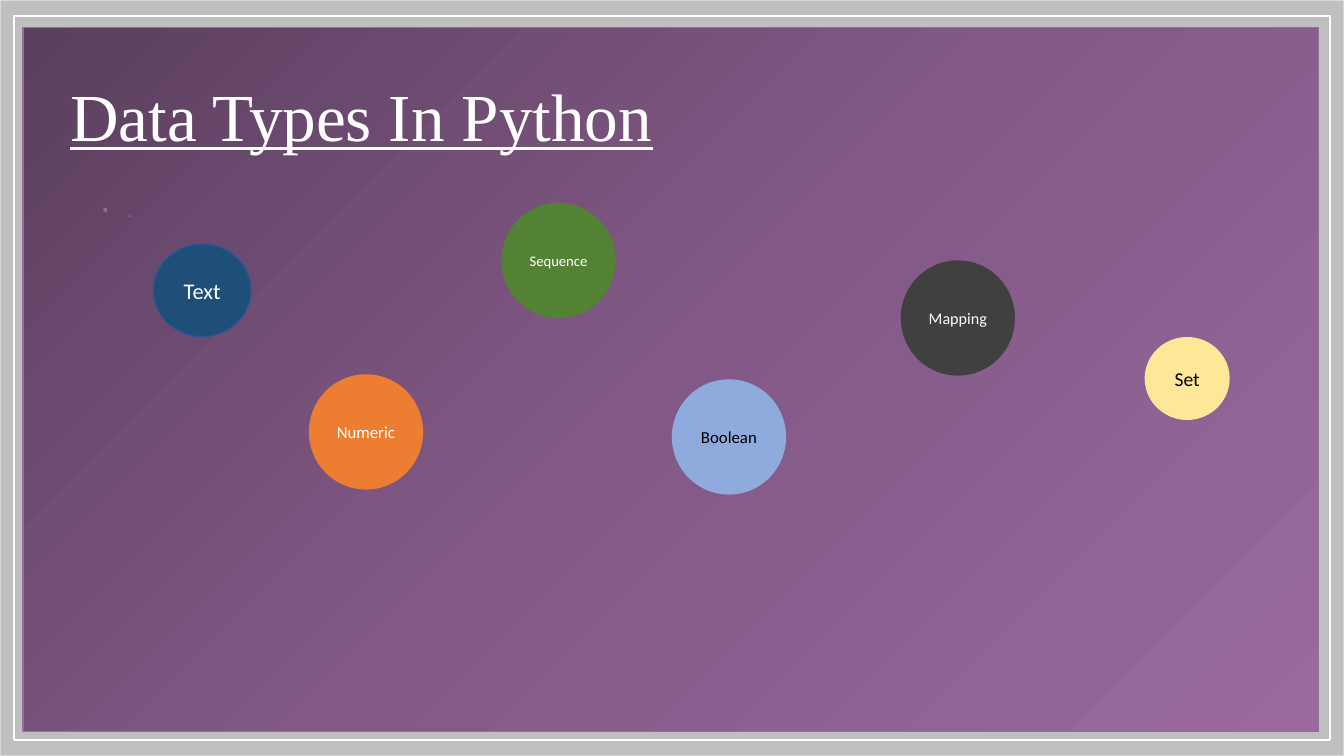
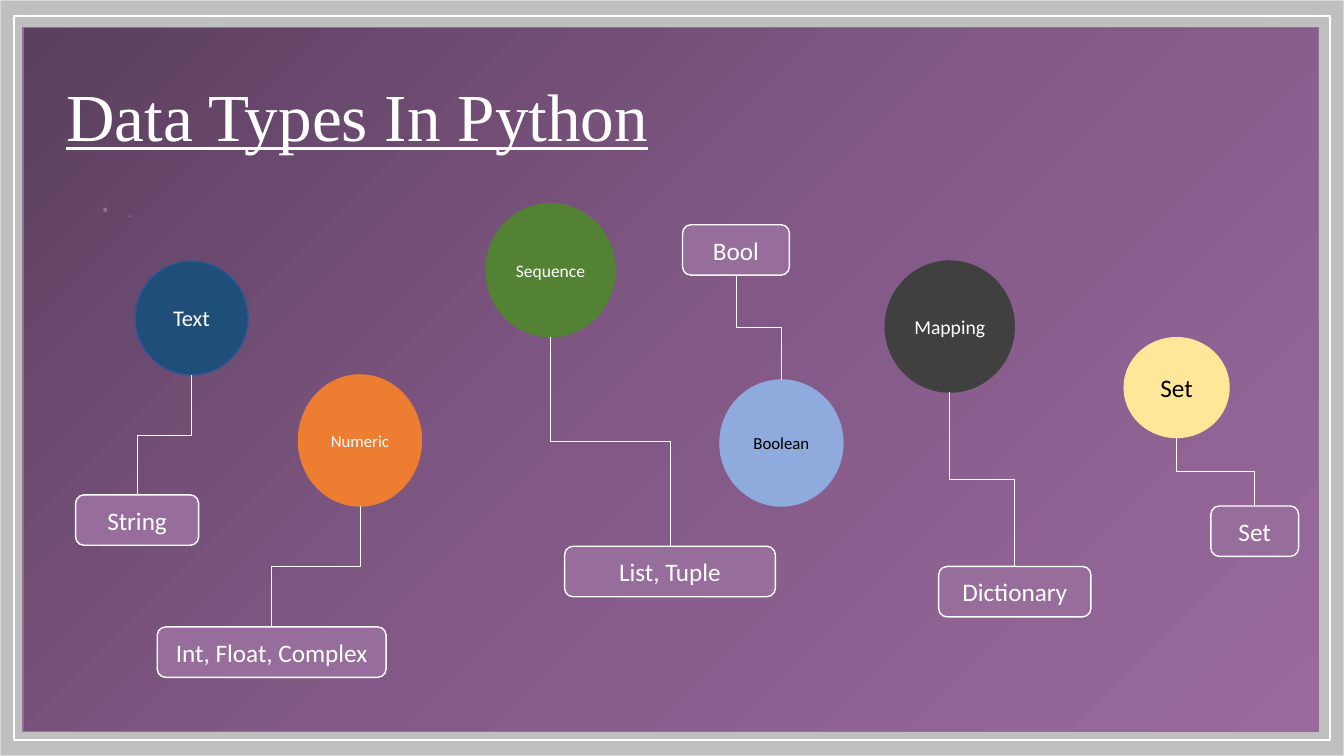
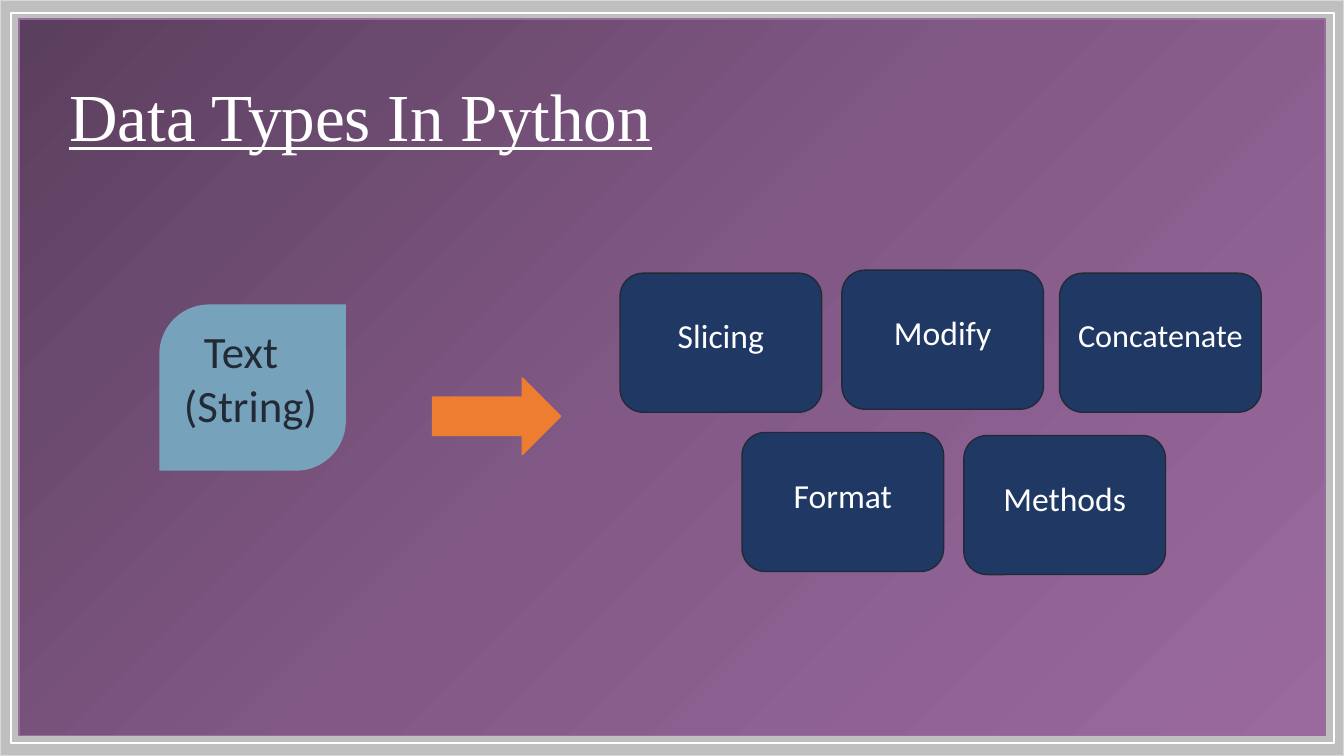
"""Builds three slides about the data types in Python."""
from dataclasses import dataclass

from lxml import etree
from pptx import Presentation
from pptx.dml.color import RGBColor
from pptx.enum import shapes, text
from pptx.oxml.ns import qn
from pptx.util import Inches, Pt

MSO = shapes.MSO_SHAPE
ALIGN = text.PP_ALIGN
ANCHOR = text.MSO_ANCHOR


@dataclass(frozen=True)
class Theme:
    """Colours, fonts and type sizes shared by the slides."""
    border: str = "BFBFBF"
    border_line: str = "D9D9D9"
    gradient: tuple = ((0, "5B3F5E"), (50, "825986"), (100, "9A6A9E"))
    mauve: str = "976D9B"
    white: str = "FFFFFF"
    black: str = "000000"
    orange: str = "ED7D31"
    navy: str = "203864"
    ink: str = "222A35"
    leaf: str = "77A2BB"
    title_font: str = "Times New Roman"
    font: str = "Calibri"
    title_size: float = 48
    leaf_size: float = 32
    card_size: float = 24
    label_size: float = 18
    dot_size: float = 11.2


T = Theme()

CIRCLE_COLORS = {
    "Text": ("1F4E79", "2F5597", T.white),
    "Set": ("FFE699", "FFE699", T.black),
    "Mapping": ("404040", "404040", T.white),
    "Numeric": (T.orange, T.orange, T.white),
    "Sequence": ("548235", "548235", T.white),
    "Boolean": ("8FAADC", "8FAADC", T.black),
}


def rgb(color):
    """Return a colour object for a hex string."""
    return RGBColor.from_string(color)


def write(tf, content, size, color=T.white, font=T.font, align=ALIGN.LEFT,
          underline=None, spacing=None, indent=0, bullet=None):
    """Write one paragraph into a text frame and return it."""
    p = tf.paragraphs[-1]
    if p.runs:
        p = tf.add_paragraph()
    p.alignment = align
    if spacing:
        p.line_spacing = spacing
    pPr = p._p.get_or_add_pPr()
    if indent:
        pPr.set("marL", str(Inches(indent)))
    if bullet:
        pPr.set("indent", str(-Inches(indent)))
        etree.SubElement(pPr, qn("a:buFont")).set("typeface", "Arial")
        etree.SubElement(pPr, qn("a:buChar")).set("char", bullet)
    r = p.add_run()
    r.text = content
    r.font.size = Pt(size)
    r.font.name = font
    r.font.color.rgb = rgb(color)
    r.font.underline = underline
    return p


def add_shape(s, kind, box, fill=None, line=None):
    """Add a preset shape with a plain fill and a one-point line."""
    sp = s.shapes.add_shape(kind, *map(Inches, box))
    sp.shadow.inherit = False
    if fill:
        sp.fill.solid()
        sp.fill.fore_color.rgb = rgb(fill)
    else:
        sp.fill.background()
    if line:
        sp.line.color.rgb = rgb(line)
        sp.line.width = Pt(1)
    else:
        sp.line.fill.background()
    return sp


def add_textbox(s, box, anchor=ANCHOR.TOP):
    """Add a wrapping text box and return its text frame."""
    tf = s.shapes.add_textbox(*map(Inches, box)).text_frame
    tf.word_wrap = True
    tf.vertical_anchor = anchor
    return tf


def add_gradient(sp):
    """Fill a shape with the diagonal purple gradient."""
    sp.fill.gradient()
    sp.fill.gradient_angle = 315
    stops = sp._element.spPr.find(qn("a:gradFill")).find(qn("a:gsLst"))
    for gs in list(stops):
        stops.remove(gs)
    for pos, color in T.gradient:
        gs = etree.SubElement(stops, qn("a:gs"), pos=str(pos * 1000))
        etree.SubElement(gs, qn("a:srgbClr"), val=color)


def add_slide(prs, panel, frame, title_x):
    """Add a slide with its border, gradient panel, thin frame and title."""
    s = prs.slides.add_slide(prs.slide_layouts[6])
    add_shape(s, MSO.RECTANGLE, (0, 0, 13.33, 7.5), T.border, T.border_line)
    add_gradient(add_shape(s, MSO.RECTANGLE, panel, line=T.mauve))
    add_shape(s, MSO.RECTANGLE, frame, line=T.white)
    tf = add_textbox(s, (title_x, 0.46, 11.5, 1.45), ANCHOR.MIDDLE)
    write(tf, "Data Types In Python", T.title_size, font=T.title_font,
          underline=True, spacing=0.9)
    return s


def add_type_slide(prs, title_x, circles):
    """Add a slide of data type circles and return it with the circles."""
    s = add_slide(prs, (0.23, 0.27, 12.85, 6.99),
                  (0.14, 0.16, 13.05, 7.18), title_x)
    write(add_textbox(s, (0.92, 2, 0.23, 0.26)), ".", T.dot_size, T.mauve,
          spacing=0.7, indent=0.25, bullet="•")
    return s, {name: add_circle(s, name, size, box)
               for name, size, box in circles}


def add_circle(s, name, size, box):
    """Add the circle of one data type."""
    fill, line, color = CIRCLE_COLORS[name]
    sp = add_shape(s, MSO.OVAL, box, fill, line)
    tf = sp.text_frame
    tf.margin_left = tf.margin_right = 0
    write(tf, name, size, color, align=ALIGN.CENTER)
    return sp


def add_label(s, content, x, y, width):
    """Add a rounded label that names Python classes."""
    sp = add_shape(s, MSO.ROUNDED_RECTANGLE, (x, y, width, 0.5),
                   T.mauve, T.white)
    write(sp.text_frame, content, T.label_size, align=ALIGN.CENTER)
    return sp


def add_link(s, upper, lower):
    """Join two shapes, bottom to top, by a vertical elbow connector."""
    x1, y1 = upper.left + upper.width // 2, upper.top + upper.height
    x2, y2 = lower.left + lower.width // 2, lower.top
    cx, cy = (x1 + x2) // 2, (y1 + y2) // 2
    dx, dy = (x2 - x1) // 2, (y2 - y1) // 2
    c = s.shapes.add_connector(shapes.MSO_CONNECTOR.ELBOW,
                               cx - dy, cy + dx, cx + dy, cy - dx)
    c.line.color.rgb = rgb(T.white)
    c.line.width = Pt(0.5)
    spPr = c._element.spPr
    spPr.find(qn("a:xfrm")).set("rot", "5400000")
    etree.SubElement(spPr, qn("a:effectLst"))


def add_card(s, content, x, y, size=T.card_size):
    """Add a navy card for one string operation."""
    sp = add_shape(s, MSO.ROUNDED_RECTANGLE, (x, y, 2, 1.38), T.navy, T.ink)
    tf = sp.text_frame
    tf.vertical_anchor = ANCHOR.TOP
    tf.margin_top = Inches(0.35)
    write(tf, content, size, align=ALIGN.CENTER)


def build_overview(prs):
    """Build the slide of the six data types."""
    add_type_slide(prs, 0.6, [
        ("Text", 16, (1.52, 2.42, 0.97, 0.92)),
        ("Set", 14, (11.36, 3.35, 0.83, 0.81)),
        ("Mapping", 11.5, (8.94, 2.59, 1.12, 1.13)),
        ("Numeric", 12, (3.07, 3.72, 1.12, 1.13)),
        ("Sequence", 10.5, (4.98, 2.02, 1.12, 1.13)),
        ("Boolean", 12, (6.67, 3.77, 1.12, 1.13)),
    ])


def build_classes(prs):
    """Build the slide that links each data type to its classes."""
    s, circles = add_type_slide(prs, 0.56, [
        ("Text", 16, (1.34, 2.59, 1.12, 1.13)),
        ("Set", 18, (11.15, 3.35, 1.04, 0.99)),
        ("Mapping", 14, (8.78, 2.59, 1.28, 1.3)),
        ("Numeric", 12, (2.96, 3.72, 1.22, 1.3)),
        ("Sequence", 12.5, (4.82, 2.02, 1.28, 1.32)),
        ("Boolean", 12, (7.14, 3.77, 1.22, 1.25)),
    ])
    for name, content, x, y, width in [
        ("Text", "String", 0.75, 4.91, 1.22),
        ("Numeric", "Int, Float, Complex", 1.56, 6.22, 2.27),
        ("Sequence", "List, Tuple", 5.6, 5.42, 2.09),
        ("Boolean", "Bool", 6.77, 2.23, 1.06),
        ("Mapping", "Dictionary", 9.31, 5.62, 1.51),
        ("Set", "Set", 12.01, 5.02, 0.87),
    ]:
        pair = (circles[name], add_label(s, content, x, y, width))
        add_link(s, *sorted(pair, key=lambda sp: sp.top))


def build_string(prs):
    """Build the slide of string operations."""
    s = add_slide(prs, (0.19, 0.19, 12.95, 7.11),
                  (0.11, 0.13, 13.12, 7.24), 0.59)
    sp = add_shape(s, MSO.ROUND_2_DIAG_RECTANGLE, (1.58, 3.02, 1.85, 1.65),
                   T.leaf)
    sp.adjustments[0] = 0.3
    tf = sp.text_frame
    tf.vertical_anchor = ANCHOR.TOP
    write(tf, "Text", T.leaf_size, T.ink, indent=0.2)
    write(tf, "(String)", T.leaf_size, T.ink)
    add_shape(s, MSO.RIGHT_ARROW, (4.29, 3.75, 1.27, 0.76),
              T.orange, T.orange)
    add_card(s, "Slicing", 6.15, 2.71)
    add_card(s, "Modify", 8.35, 2.68)
    add_card(s, "Concatenate", 10.51, 2.71, size=23)
    add_card(s, "Format", 7.36, 4.29)
    add_card(s, "Methods", 9.56, 4.32)


def main():
    """Build and save the presentation."""
    prs = Presentation()
    prs.slide_width, prs.slide_height = Inches(13.33), Inches(7.5)
    build_overview(prs)
    build_classes(prs)
    build_string(prs)
    prs.save("out.pptx")


if __name__ == "__main__":
    main()
